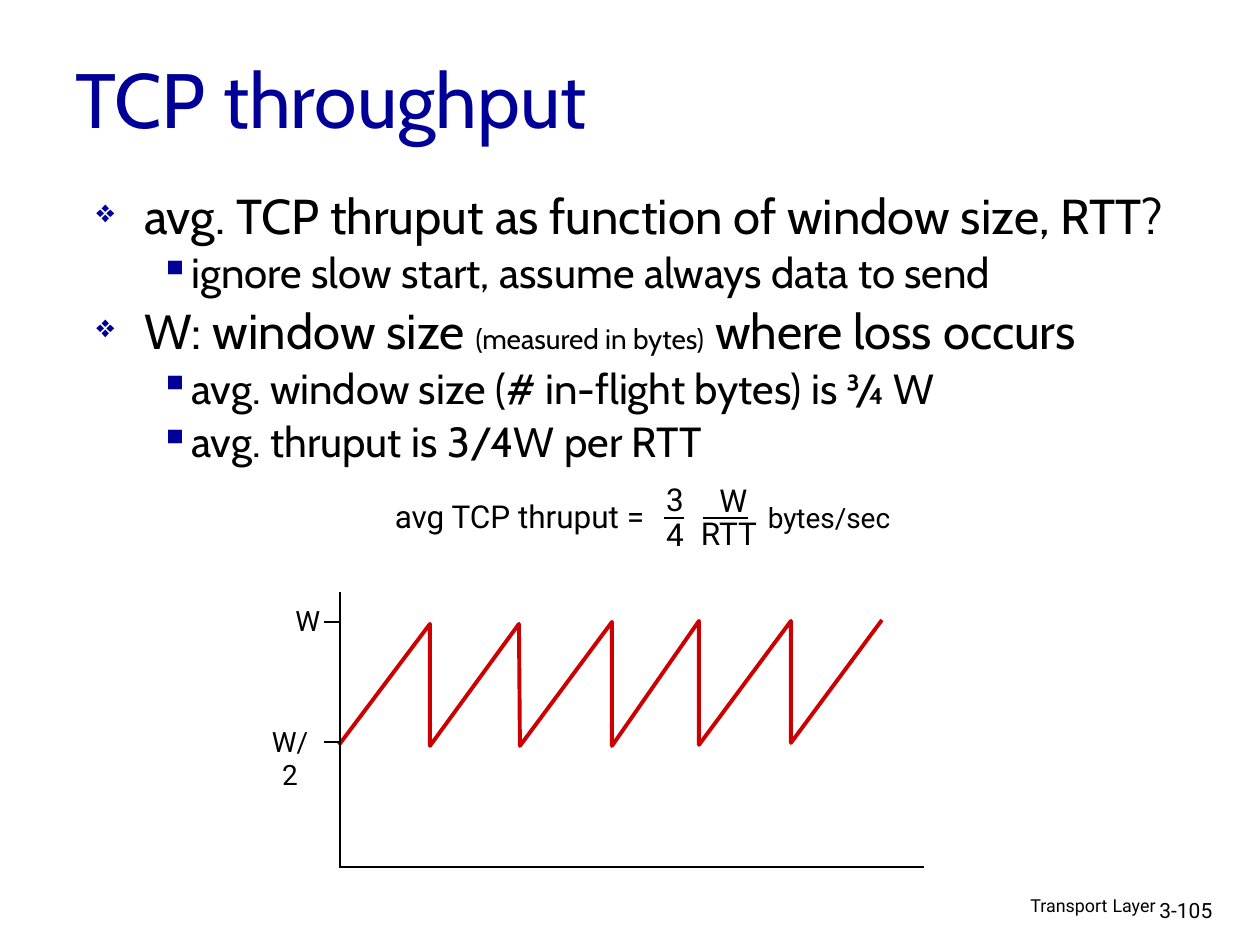
"""Build the TCP throughput slide with its formula and sawtooth window diagram."""
from lxml import etree
from pptx import Presentation
from pptx.dml.color import RGBColor
from pptx.enum.shapes import MSO_CONNECTOR
from pptx.enum.text import MSO_ANCHOR, PP_ALIGN
from pptx.oxml.ns import qn
from pptx.util import Pt

PX = 914400 / 126
STRAIGHT = MSO_CONNECTOR.STRAIGHT
LEFT, CENTER, RIGHT = PP_ALIGN.LEFT, PP_ALIGN.CENTER, PP_ALIGN.RIGHT
TOP, MIDDLE = MSO_ANCHOR.TOP, MSO_ANCHOR.MIDDLE
BLACK, NAVY, RED = "000000", "000099", "CC0000"

deck = Presentation()
deck.slide_width = round(1260 * PX)
deck.slide_height = round(945 * PX)
page = deck.slides.add_slide(deck.slide_layouts[6])


def add_box(left, top, width, height, wrap=True, align=LEFT, anchor=TOP):
    """Add a text box and return its text frame."""
    box = page.shapes.add_textbox(*[round(side * PX) for side in (left, top, width, height)])
    frame = box.text_frame
    frame.word_wrap = wrap
    frame.vertical_anchor = anchor
    frame.paragraphs[0].alignment = align
    return frame


def add_text(para, text, size=18, font="Roboto", color=BLACK):
    """Append formatted text to a paragraph."""
    span = para.add_run()
    span.text = text
    span.font.size = Pt(size)
    span.font.name = font
    span.font.color.rgb = RGBColor.from_string(color)


footer = add_box(769, 888, 399, 39, align=RIGHT).paragraphs[0]
footer.line_spacing = 0.9
for text, size in [("Transport", 10.2), (" ", 11.9), ("Layer", 10.2)]:
    add_text(footer, text, size=size)
add_text(add_box(1147, 891, 93, 38).paragraphs[0], "3-105", size=12)

title = add_box(63, 33, 1071, 129, anchor=MIDDLE).paragraphs[0]
add_text(title, "TCP throughput", size=44, font="Cabin", color=NAVY)

levels = [
    {"bullet": "❖", "percent": 65, "margin": 48, "hanging": 48, "before": 7},
    {"bullet": "▪", "percent": 100, "margin": 95, "hanging": 32, "before": 6},
]
points = [
    (0, [("avg. TCP thruput as function of window size, RTT?", 28)]),
    (1, [("ignore slow start, assume always data to send", 24)]),
    (0, [("W: window size ", 28), ("(measured in bytes)", 16), (" where loss occurs", 28)]),
    (1, [("avg. window size (# in-flight bytes) is ¾ W", 24)]),
    (1, [("avg. thruput is 3/4W per RTT", 24)]),
]
body = add_box(84, 188, 1139, 640)
for index, (level, spans) in enumerate(points):
    style = levels[level]
    para = body.add_paragraph() if index else body.paragraphs[0]
    para.level = level
    props = para._p.get_or_add_pPr()
    props.set("marL", str(round(style["margin"] * PX)))
    props.set("indent", str(round(-style["hanging"] * PX)))
    bullet_color = etree.SubElement(props, qn("a:buClr"))
    etree.SubElement(bullet_color, qn("a:srgbClr"), val=NAVY)
    etree.SubElement(props, qn("a:buSzPct"), val=str(style["percent"] * 1000))
    etree.SubElement(props, qn("a:buChar"), char=style["bullet"])
    para.line_spacing = 0.85
    if index:
        para.space_before = Pt(style["before"])
    for text, size in spans:
        add_text(para, text, size=size, font="Cabin")

teeth = [(430, 624, 430, 746), (519, 624, 520, 746), (612, 622, 612, 746),
         (699, 621, 699, 745), (791, 621, 791, 743)]
corners = [corner for tooth in teeth for corner in (tooth[:2], tooth[2:])]
builder = page.shapes.build_freeform(339, 745, scale=PX)
builder.add_line_segments(corners + [(882, 620)], close=False)
sawtooth = builder.convert_to_shape()
sawtooth.shadow.inherit = False
sawtooth.fill.background()
sawtooth.line.color.rgb = RGBColor.from_string(RED)
sawtooth.line.width = Pt(2.25)

axes = [(339, 867, 924, 867), (340, 592, 340, 868)]
ticks = [(324, y, 339, y) for y in (622, 742)]
fraction_bars = [(664, 518, 684, 518), (703, 518, 748, 518)]
for ends in axes + ticks + fraction_bars:
    line = page.shapes.add_connector(STRAIGHT, *[round(end * PX) for end in ends])
    line.line.color.rgb = RGBColor.from_string(BLACK)
    line.line.width = Pt(1.5)
    etree.SubElement(line._element.spPr, qn("a:effectLst"))

labels = [
    ("W", 16, (283, 597, 42, 47), False),
    ("W/2", 16, (253, 718, 74, 47), True),
    ("avg TCP thruput = ", 18, (340, 491, 367, 50), False),
    ("3", 18, (653, 474, 44, 50), False),
    ("4", 18, (653, 509, 44, 50), False),
    ("W", 18, (707, 475, 44, 50), False),
    ("RTT", 18, (688, 508, 82, 50), False),
    ("bytes/sec", 16, (741, 494, 176, 47), False),
]
for text, size, place, wrap in labels:
    label = add_box(*place, wrap=wrap, align=CENTER)
    add_text(label.paragraphs[0], text, size=size)

deck.save("out.pptx")
